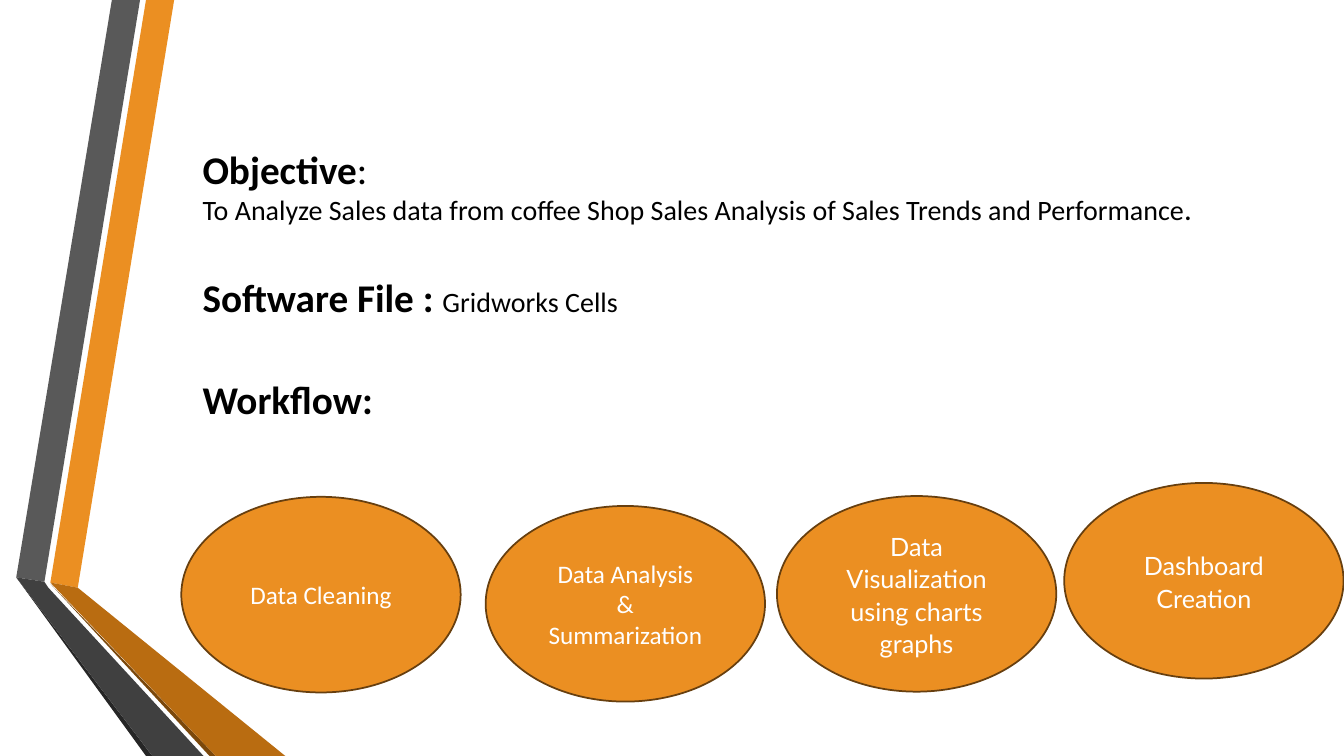
"""Build the objective, software and workflow slide of a sales analysis."""
from lxml.etree import SubElement
from pptx import Presentation
from pptx.dml.color import RGBColor
from pptx.enum.shapes import MSO_SHAPE as Shape
from pptx.enum.text import MSO_ANCHOR as Anchor, MSO_AUTO_SIZE as AutoSize, PP_ALIGN as Align
from pptx.oxml.ns import qn
from pptx.util import Cm, Pt

THEME = {
    "orange": "EB8F22", "orange_shade": "B96C11", "orange_edge": "7B480B",
    "grey": "595959", "grey_shade": "404040", "grey_edge": "262626",
    "outline": "673F0F", "ink": "000000", "white": "FFFFFF",
    "font": "Calibri", "accent_font": "Lato",
    "heading": 28, "detail": 20, "step": 18,
}


def paint(shape, color):
    """Give a shape a flat fill without a shadow."""
    shape.shadow.inherit = False
    shape.fill.solid()
    shape.fill.fore_color.rgb = RGBColor.from_string(THEME[color])


def style(run, size, color, font="font", bold=False):
    """Set the type of a run from the theme."""
    run.font.name = THEME[font]
    run.font.size = Pt(THEME[size])
    run.font.bold = bold
    run.font.color.rgb = RGBColor.from_string(THEME[color])


presentation = Presentation()
presentation.slide_width = Cm(33.87)
presentation.slide_height = Cm(19.05)
slide = presentation.slides.add_slide(presentation.slide_layouts[1])
title, body = slide.placeholders
title.element.getparent().remove(title.element)

ribbons = [
    ("orange", [(1.27, 14.68), (1.96, 14.81), (4.39, 0), (3.68, 0)]),
    ("grey", [(3.53, 0), (2.82, 0), (0.41, 14.55), (1.12, 14.66)]),
    ("grey_edge", [(0.41, 14.55), (3.68, 19.05), (3.84, 19.05)]),
    ("orange_edge", [(1.27, 14.71), (5.28, 19.05), (5.44, 19.05)]),
    ("orange_shade", [(1.27, 14.68), (5.44, 19.05), (7.19, 19.05), (1.96, 14.81)]),
    ("grey_shade", [(5.13, 19.05), (1.22, 14.81), (1.12, 14.66), (0.41, 14.55), (3.84, 19.05)]),
]
for color, corners in ribbons:
    points = [(Cm(x), Cm(y)) for x, y in corners]
    builder = slide.shapes.build_freeform(*points[0])
    builder.add_line_segments(points[1:], close=True)
    ribbon = builder.convert_to_shape()
    paint(ribbon, color)
    ribbon.line.fill.background()

body.left, body.top, body.width, body.height = Cm(4.85), Cm(3.53), Cm(28.8), Cm(7.44)
frame = body.text_frame
frame.auto_size = AutoSize.NONE
frame.vertical_anchor = Anchor.TOP
summary = [
    (0, [("Objective", "heading", True), (":", "heading", False)]),
    (0, [("To Analyze Sales data from coffee Shop Sales Analysis of Sales Trends and Performance",
          "detail", False), (".", "step", True)]),
    (34, [("Software File : ", "heading", True), ("Gridworks Cells", "detail", False)]),
    (39, [("Workflow:", "heading", True)]),
]
for index, (gap, pieces) in enumerate(summary):
    paragraph = frame.add_paragraph() if index else frame.paragraphs[0]
    paragraph.space_before = Pt(gap)
    properties = paragraph._p.get_or_add_pPr()
    properties.set("marL", "0")
    properties.set("indent", "0")
    SubElement(properties, qn("a:buNone"))
    for text, size, bold in pieces:
        run = paragraph.add_run()
        run.text = text
        style(run, size, "ink", bold=bold)

steps = [
    (4.57, 12.52, "font", "Data Cleaning"),
    (12.24, 12.75, "font", "Data Analysis\n&\nSummarization"),
    (19.58, 12.5, "accent_font", "Data Visualization using charts graphs"),
    (26.82, 12.17, "accent_font", "Dashboard Creation"),
]
for left, top, font, text in steps:
    step = slide.shapes.add_shape(Shape.OVAL, Cm(left), Cm(top), Cm(7.04), Cm(4.93))
    paint(step, "orange")
    step.line.color.rgb = RGBColor.from_string(THEME["outline"])
    step.line.width = Pt(1.25)
    step.text_frame.text = text
    step.text_frame.word_wrap = True
    step.text_frame.vertical_anchor = Anchor.MIDDLE
    for paragraph in step.text_frame.paragraphs:
        paragraph.alignment = Align.CENTER
        if font == "accent_font":
            paragraph.line_spacing = 1.07
            paragraph.space_after = Pt(8)
        style(paragraph.runs[0], "step", "white", font)

presentation.save("out.pptx")
